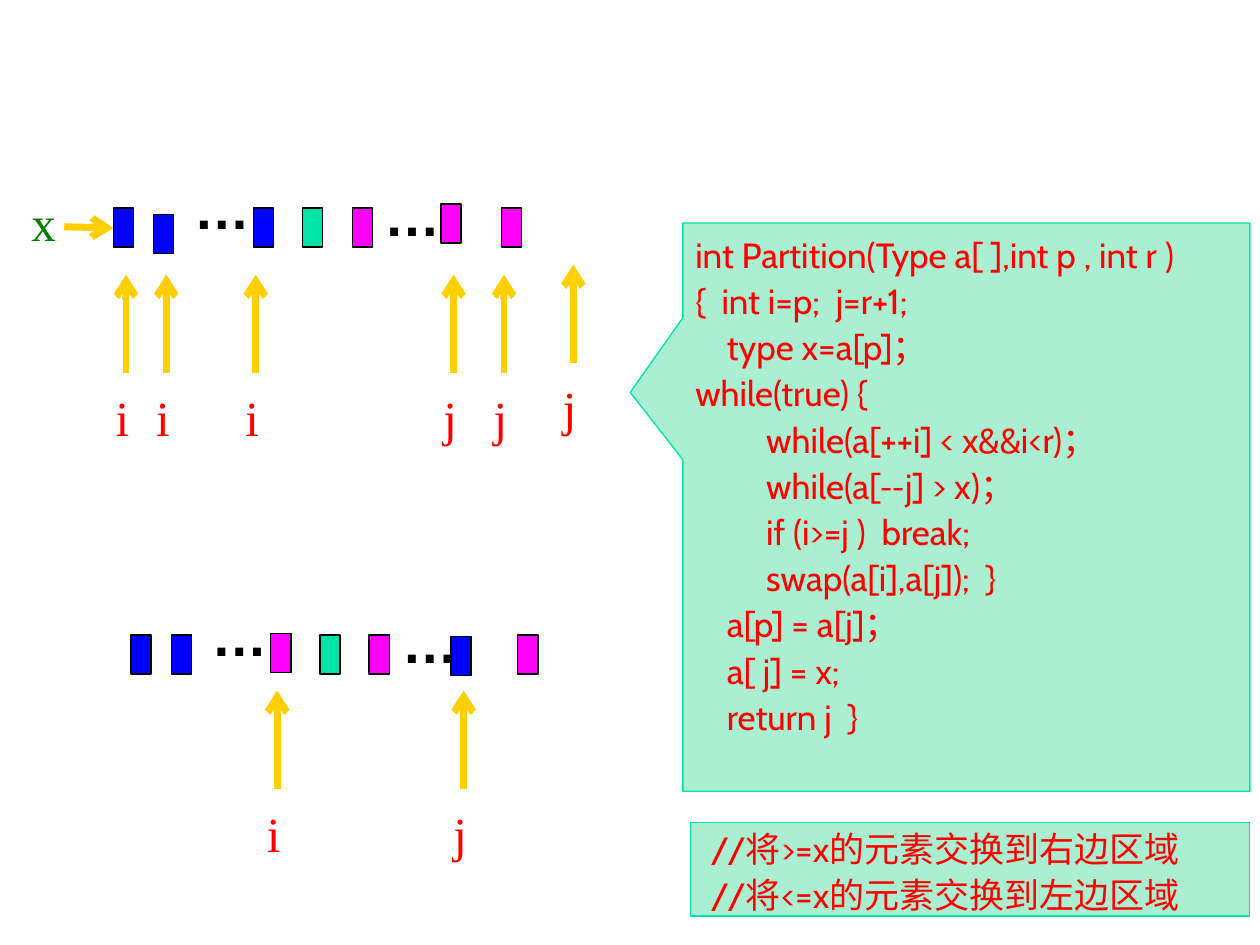
from lxml import etree
from pptx import Presentation
from pptx.dml.color import RGBColor
from pptx.enum.shapes import MSO_CONNECTOR, MSO_SHAPE
from pptx.enum.text import MSO_ANCHOR, PP_ALIGN
from pptx.oxml.ns import qn
from pptx.util import Inches, Pt

COLORS = {
    "small": "0000FF", "pivot": "00E4A8", "large": "FF00FF",
    "outline": "000000", "arrow": "FFCF01", "panel": "AAEFD1",
    "code": "FF0000", "x": "008000",
}
CODE_FONT, DASH_FONT = "Cabin", "Noto Sans CJK SC"
INDEX_FORMAT = {"name": "Times New Roman", "size": Pt(28)}
DOTS_FORMAT = {"name": "Arial", "size": Pt(32), "bold": True}
CODE_FORMAT = {"name": CODE_FONT, "size": Pt(20)}

PARTITION_CODE = """\
int Partition(Type a[ ],int p , int r )
{  int i=p;  j=r+1;
    type x=a[p]；
while(true) {
         while(a[++i] < x&&i<r)；
         while(a[--j] > x)；
         if (i>=j )  break;
         swap(a[i],a[j]);  }
    a[p] = a[j]；
    a[ j] = x;
    return j  }"""
SWAP_COMMENTS = """\
 //将>=x的元素交换到右边区域
 //将<=x的元素交换到左边区域"""

# Each cell: horizontal offset, vertical offset, kind
BEFORE_SWAP = [(0, 0, "small"), (0.32, 0.05, "small"), (1.11, 0, "small"),
               (1.5, 0, "pivot"), (1.9, 0, "large"), (2.6, -0.03, "large"),
               (3.08, 0, "large")]
AFTER_SWAP = [(0, 0, "small"), (0.32, 0, "small"), (1.11, -0.01, "large"),
              (1.5, 0, "pivot"), (1.89, 0, "large"), (2.54, 0.01, "small"),
              (3.07, 0, "large")]
DOTS_OFFSETS = [(0.54, -0.32), (2.05, -0.27)]

# Each pointer: index name, horizontal position, bottom of its arrow
POINTERS = [("i", 1, 2.96), ("i", 1.32, 2.96), ("i", 2.03, 2.96),
            ("j", 3.6, 2.96), ("j", 4, 2.96), ("j", 4.55, 2.88),
            ("i", 2.2, 6.26), ("j", 3.68, 6.26)]


def rgb(name):
    return RGBColor.from_string(COLORS[name])


def add_run(paragraph, text, color, formats):
    run = paragraph.add_run()
    run.text = text
    for attribute, value in formats.items():
        setattr(run.font, attribute, value)
    run.font.color.rgb = rgb(color)


def add_label(slide, text, box, color, formats, wrap=True, spacing=None):
    label = slide.shapes.add_textbox(*map(Inches, box))
    label.text_frame.word_wrap = wrap
    paragraph = label.text_frame.paragraphs[0]
    paragraph.line_spacing = spacing
    add_run(paragraph, text, color, formats)


def add_block(slide, preset, box, fill, outline):
    block = slide.shapes.add_shape(preset, *map(Inches, box))
    block.shadow.inherit = False
    block.fill.solid()
    block.fill.fore_color.rgb = rgb(fill)
    block.line.color.rgb = rgb(outline)
    block.line.width = Pt(0.75)
    return block


def add_arrow(slide, start, end):
    arrow = slide.shapes.add_connector(
        MSO_CONNECTOR.STRAIGHT, *map(Inches, (*start, *end)))
    arrow.line.color.rgb = rgb("arrow")
    arrow.line.width = Pt(4)
    etree.SubElement(arrow.line._get_or_add_ln(), qn("a:tailEnd"), type="arrow")
    etree.SubElement(arrow._element.spPr, qn("a:effectLst"))


def add_array_row(slide, left, top, cells):
    for dx, dy in DOTS_OFFSETS:
        add_label(slide, "…", (left + dx, top + dy, 0.65, 0.63),
                  "outline", DOTS_FORMAT, wrap=False)
    for dx, dy, kind in cells:
        add_block(slide, MSO_SHAPE.RECTANGLE,
                  (left + dx, top + dy, 0.16, 0.31), kind, "outline")


def add_pointer(slide, index, x, bottom):
    """Draw an upward arrow with the index name below it."""
    add_arrow(slide, (x, bottom), (x, bottom - 0.78))
    add_label(slide, index, (x - 0.18, bottom + 0.16, 0.4, 0.48),
              "code", INDEX_FORMAT, spacing=0.8)


def add_pivot_pointer(slide, left, top):
    add_arrow(slide, (left + 0.36, top + 0.23), (left + 0.75, top + 0.24))
    add_label(slide, "x", (left, top, 0.36, 0.48), "x", INDEX_FORMAT, spacing=0.8)


def add_code_panel(slide, preset, box, code, anchor):
    panel = add_block(slide, preset, box, "panel", "pivot")
    frame = panel.text_frame
    frame.word_wrap = True
    frame.vertical_anchor = anchor
    for number, line in enumerate(code.split("\n")):
        paragraph = frame.add_paragraph() if number else frame.paragraphs[0]
        paragraph.alignment = PP_ALIGN.LEFT
        paragraph.line_spacing = 1.1
        before, dashes, after = line.partition("--")
        for text, font in ((before, CODE_FONT), (dashes, DASH_FONT), (after, CODE_FONT)):
            if text:
                add_run(paragraph, text, "code", {**CODE_FORMAT, "name": font})
    return panel


def main():
    presentation = Presentation()
    presentation.slide_width = Inches(10)
    presentation.slide_height = Inches(7.5)
    slide = presentation.slides.add_slide(presentation.slide_layouts[6])

    add_array_row(slide, 0.9, 1.65, BEFORE_SWAP)
    add_array_row(slide, 1.04, 5.04, AFTER_SWAP)
    add_pivot_pointer(slide, 0.15, 1.57)
    for index, x, bottom in POINTERS:
        add_pointer(slide, index, x, bottom)

    callout = add_code_panel(slide, MSO_SHAPE.RECTANGULAR_CALLOUT,
                             (5.42, 1.77, 4.5, 4.51), PARTITION_CODE, MSO_ANCHOR.TOP)
    callout.adjustments[0] = -0.593
    callout.adjustments[1] = -0.202
    add_code_panel(slide, MSO_SHAPE.RECTANGLE, (5.48, 6.53, 4.44, 0.74),
                   SWAP_COMMENTS, MSO_ANCHOR.MIDDLE)
    presentation.save("out.pptx")


if __name__ == "__main__":
    main()
